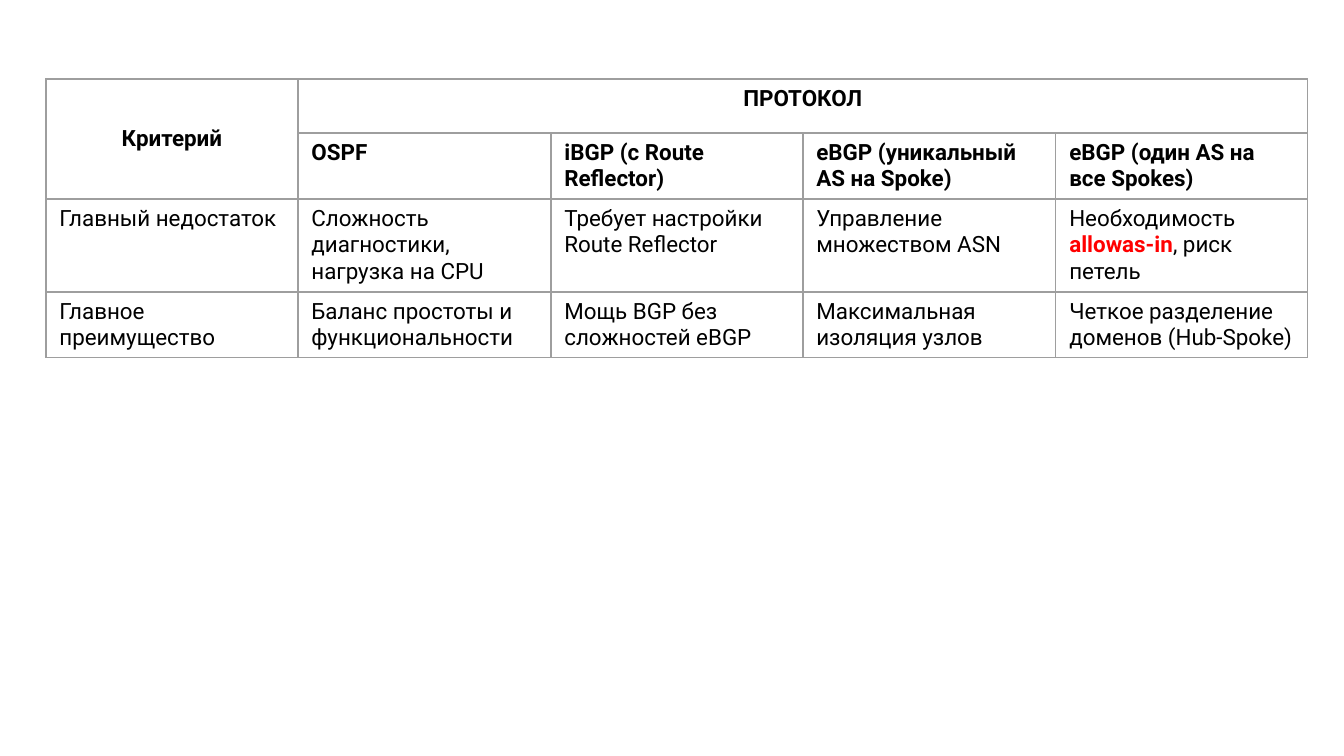
import pptx
import pptx.dml.color
import pptx.enum.text
import pptx.oxml
import pptx.oxml.ns
import pptx.util
from dataclasses import dataclass

PX_PER_INCH = 134.4


def px(length):
    return pptx.util.Inches(length / PX_PER_INCH)


@dataclass(frozen=True)
class Theme:
    font: str = "Roboto"
    size: float = 12
    border_width: float = 0.75
    text: str = "000000"
    accent: str = "FF0000"
    border: str = "9E9E9E"


class SlideBuilder:
    def __init__(self, page, theme):
        self.page = page
        self.theme = theme

    def table(self, left, top, width, row_heights, rows, merges, header_rows, centered):
        columns = len(rows[0])
        frame = self.page.shapes.add_table(
            len(rows), columns, px(left), px(top), px(width), px(sum(row_heights)))
        table = frame.table
        table.first_row = table.horz_banding = False

        # Equal columns on whole pixels
        edges = [round(width * i / columns) for i in range(columns + 1)]
        for column, start, end in zip(table.columns, edges, edges[1:]):
            column.width = px(end - start)
        for row, height in zip(table.rows, row_heights):
            row.height = px(height)

        for first, last in merges:
            table.cell(*first).merge(table.cell(*last))
        for r, texts in enumerate(rows):
            for c, text in enumerate(texts):
                cell = table.cell(r, c)
                cell.fill.background()
                self.borders(cell)
                if text is not None:
                    self.cell_text(cell, text, r < header_rows, (r, c) in centered)
        return table

    def cell_text(self, cell, text, bold, centered):
        """Write text; parts between asterisks become bold accents."""
        para = cell.text_frame.paragraphs[0]
        if centered:
            para.alignment = pptx.enum.text.PP_ALIGN.CENTER
        para.font.name = self.theme.font
        para.font.size = pptx.util.Pt(self.theme.size)
        for i, part in enumerate(text.split("*")):
            accent = i % 2 == 1
            span = para.add_run()
            span.text = part
            span.font.bold = bold or accent
            color = self.theme.accent if accent else self.theme.text
            span.font.color.rgb = pptx.dml.color.RGBColor.from_string(color)

    def borders(self, cell):
        properties = cell._tc.get_or_add_tcPr()
        width = pptx.util.Pt(self.theme.border_width)
        for i, side in enumerate(("lnL", "lnR", "lnT", "lnB")):
            properties.insert(i, pptx.oxml.parse_xml(
                f'<a:{side} {pptx.oxml.ns.nsdecls("a")} w="{width}"><a:solidFill>'
                f'<a:srgbClr val="{self.theme.border}"/></a:solidFill></a:{side}>'))


def main():
    deck = pptx.Presentation()
    deck.slide_width, deck.slide_height = px(1344), px(756)
    page = deck.slides.add_slide(deck.slide_layouts[6])
    builder = SlideBuilder(page, Theme())

    # Protocol comparison
    rows = [
        ["Критерий", "ПРОТОКОЛ", None, None, None],
        [None, "OSPF", "iBGP (с Route Reflector)",
         "eBGP (уникальный AS на Spoke)", "eBGP (один AS на все Spokes)"],
        ["Главный недостаток", "Сложность диагностики, нагрузка на CPU",
         "Требует настройки Route Reflector", "Управление множеством ASN",
         "Необходимость *allowas-in*, риск петель"],
        ["Главное преимущество", "Баланс простоты и функциональности",
         "Мощь BGP без сложностей eBGP", "Максимальная изоляция узлов",
         "Четкое разделение доменов (Hub-Spoke)"],
    ]
    table = builder.table(
        46, 79, 1262, [54, 66, 93, 66], rows,
        merges=[((0, 0), (1, 0)), ((0, 1), (0, 4))],
        header_rows=2, centered={(0, 0), (0, 1)})
    table.cell(0, 0).vertical_anchor = pptx.enum.text.MSO_ANCHOR.MIDDLE

    deck.save("out.pptx")


if __name__ == "__main__":
    main()
